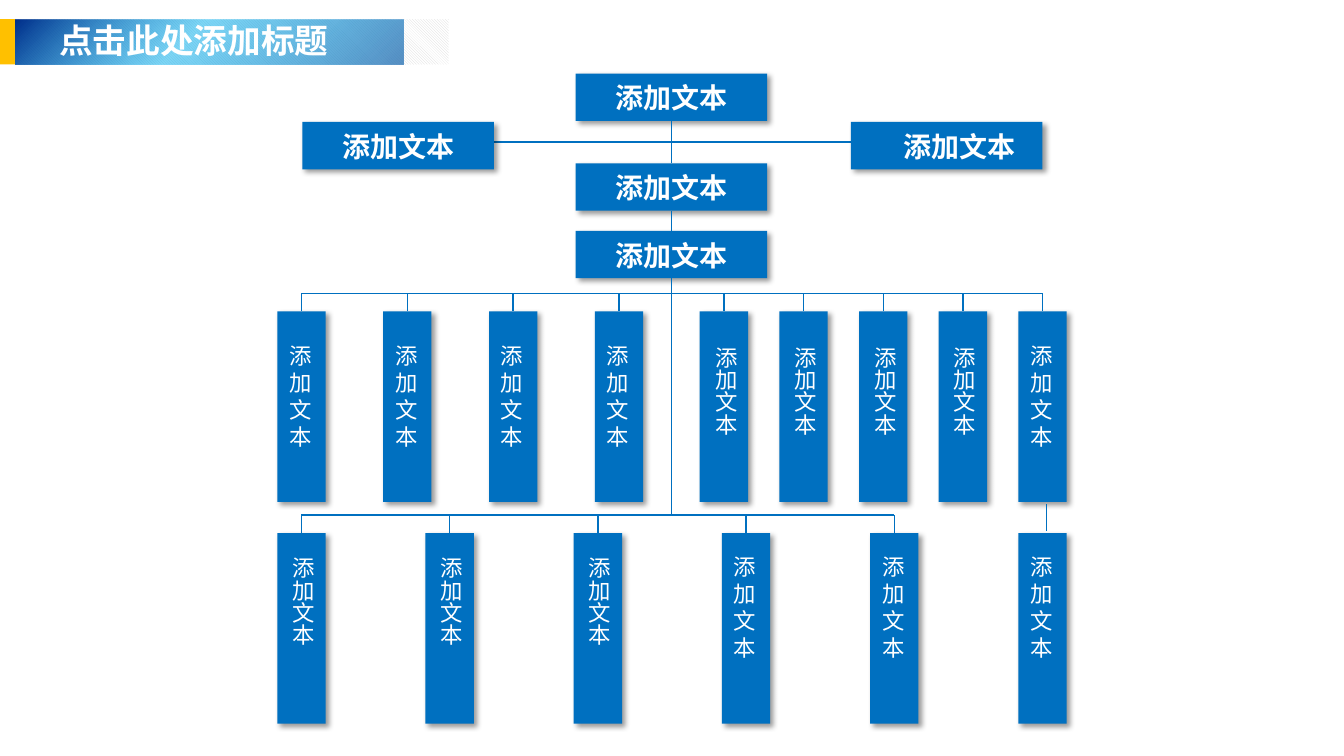
from dataclasses import dataclass

from lxml.etree import SubElement
from pptx import Presentation
from pptx.dml.color import RGBColor
from pptx.enum.dml import MSO_PATTERN
from pptx.enum.shapes import MSO_CONNECTOR, MSO_SHAPE
from pptx.enum.text import MSO_ANCHOR, MSO_AUTO_SIZE, PP_ALIGN
from pptx.oxml import parse_xml
from pptx.oxml.ns import nsdecls, qn
from pptx.util import Pt

PX = 9144


@dataclass(frozen=True)
class Theme:
    font: str = "Noto Sans CJK SC"
    blue: str = "0070C0"
    amber: str = "FFC000"
    hatch: str = "D9D9D9"
    white: str = "FFFFFF"
    shadow: str = "000000"
    gradient: tuple = ((1, "2E75B6", 80), (56, "00B0F0", 50), (100, "002E8A", 100))
    title_size: int = 24
    head_size: int = 20
    bar_size: int = 16
    line_width: int = 1


@dataclass(frozen=True)
class Box:
    left: int
    top: int
    width: int
    height: int

    def inner(self, left, top, width, height):
        return Box(self.left + left, self.top + top, width, height)

    def emu(self):
        return [n * PX for n in (self.left, self.top, self.width, self.height)]


THEME = Theme()
LABEL = "添加文本"


def rgb(value):
    return RGBColor.from_string(value)


def add_rect(shapes, box, color=None, shadow=False):
    rect = shapes.add_shape(MSO_SHAPE.RECTANGLE, *box.emu())
    rect.shadow.inherit = False
    rect.line.fill.background()
    if color:
        rect.fill.solid()
        rect.fill.fore_color.rgb = rgb(color)
    if shadow:
        effects = rect._element.spPr.find(qn("a:effectLst"))
        effects.append(parse_xml(
            f'<a:outerShdw {nsdecls("a")} blurRad="{Pt(4)}" dist="{Pt(3)}" dir="2700000" '
            f'algn="tl" rotWithShape="0"><a:srgbClr val="{THEME.shadow}">'
            '<a:alpha val="40000"/></a:srgbClr></a:outerShdw>'))
    return rect


def add_text(page, box, text, *, size, bold=False, align=PP_ALIGN.LEFT,
             anchor=MSO_ANCHOR.MIDDLE, vertical=False):
    frame = page.shapes.add_textbox(*box.emu()).text_frame
    frame.word_wrap = True
    frame.auto_size = MSO_AUTO_SIZE.SHAPE_TO_FIT_TEXT
    frame.vertical_anchor = anchor
    if vertical:
        frame._txBody.bodyPr.set("vert", "eaVert")
    para = frame.paragraphs[0]
    para.alignment = align
    span = para.add_run()
    span.text = text
    span.font.size = Pt(size)
    span.font.bold = bold
    span.font.color.rgb = rgb(THEME.white)
    span.font.name = THEME.font
    SubElement(span.font._element, qn("a:ea"), typeface=THEME.font)


def add_line(page, x1, y1, x2, y2, begin=None, end=None):
    line = page.shapes.add_connector(
        MSO_CONNECTOR.STRAIGHT, *(n * PX for n in (x1, y1, x2, y2)))
    line.line.color.rgb = rgb(THEME.blue)
    line.line.width = Pt(THEME.line_width)
    SubElement(line._element.spPr, qn("a:effectLst"))
    if begin:
        line.begin_connect(*begin)
    if end:
        line.end_connect(*end)


def fill_gradient(shape):
    stops = "".join(
        f'<a:gs pos="{position * 1000}"><a:srgbClr val="{color}">'
        f'<a:alpha val="{alpha * 1000}"/></a:srgbClr></a:gs>'
        for position, color, alpha in THEME.gradient)
    geometry = shape._element.spPr.find(qn("a:prstGeom"))
    geometry.addnext(parse_xml(
        f'<a:gradFill {nsdecls("a")} rotWithShape="1"><a:gsLst>{stops}</a:gsLst>'
        '<a:path path="circle"><a:fillToRect l="100000" t="100000"/></a:path></a:gradFill>'))


def draw_title(page, box):
    add_rect(page.shapes, box.inner(0, 0, 15, box.height), THEME.amber)
    banner = page.shapes.add_group_shape()
    hatch = add_rect(banner.shapes, box.inner(15, 0, box.width - 15, box.height))
    hatch.fill.patterned()
    hatch.fill.pattern = MSO_PATTERN.LIGHT_DOWNWARD_DIAGONAL
    hatch.fill.fore_color.rgb = rgb(THEME.hatch)
    hatch.fill.back_color.rgb = rgb(THEME.white)
    fill_gradient(add_rect(banner.shapes, box.inner(15, 0, box.width - 60, box.height)))
    add_text(page, box.inner(49, -4, 481, 51), "点击此处添加标题",
             size=THEME.title_size, bold=True, anchor=MSO_ANCHOR.TOP)


def draw_head(page, box, indent=15):
    head = add_rect(page.shapes, box, THEME.blue, shadow=True)
    add_text(page, box.inner(indent, 2, 160, 44), LABEL,
             size=THEME.head_size, bold=True, align=PP_ALIGN.CENTER)
    return head


def draw_heads(page, box, trunk_end):
    width, height, middle = 190, 47, 271
    center = box.left + middle + width // 2
    cross = box.top + 68
    add_line(page, box.left + 186, cross, box.left + 550, cross)
    trunk = [draw_head(page, box.inner(middle, top, width, height)) for top in (0, 89, 156)]
    draw_head(page, box.inner(0, 48, width, height))
    draw_head(page, box.inner(box.width - width, 48, width, height), indent=28)
    for upper, lower in zip(trunk, trunk[1:]):
        add_line(page, center, box.top, center, box.top, (upper, 2), (lower, 0))
    add_line(page, center, box.top, center, trunk_end, begin=(trunk[-1], 2))


def draw_tier(page, box, lefts, vertical, text_top, joined):
    drop, width = 18, 48
    centers = [box.left + left + width // 2 for left in lefts]
    add_line(page, centers[0], box.top, centers[joined - 1], box.top)
    for index, (left, center) in enumerate(zip(lefts, centers)):
        bar = add_rect(page.shapes, box.inner(left, drop, width, box.height - drop),
                       THEME.blue, shadow=True)
        upright = index in vertical
        size = (47, 160) if upright else (54, 118)
        add_text(page, box.inner(left + 2, drop + text_top, *size), LABEL,
                 size=THEME.bar_size, vertical=upright)
        if index < joined:
            add_line(page, center, box.top, center, box.top + drop, end=(bar, 0))


def main():
    deck = Presentation()
    deck.slide_width, deck.slide_height = 1333 * PX, 750 * PX
    page = deck.slides.add_slide(deck.slide_layouts[6])
    upper, lower = (Box(275, top, 783, 207) for top in (291, 511))
    upper_lefts = [105 * i for i in range(4)] + [419 + 79 * i for i in range(5)]
    lower_lefts = [147 * i for i in range(6)]
    draw_tier(page, upper, upper_lefts, range(4, 8), text_top=25, joined=9)
    draw_tier(page, lower, lower_lefts, range(3), text_top=14, joined=5)
    add_line(page, 1038, 500, 1038, 527)
    draw_title(page, Box(0, 19, 445, 45))
    draw_heads(page, Box(300, 73, 734, 203), trunk_end=lower.top)
    deck.save("out.pptx")


if __name__ == "__main__":
    main()
